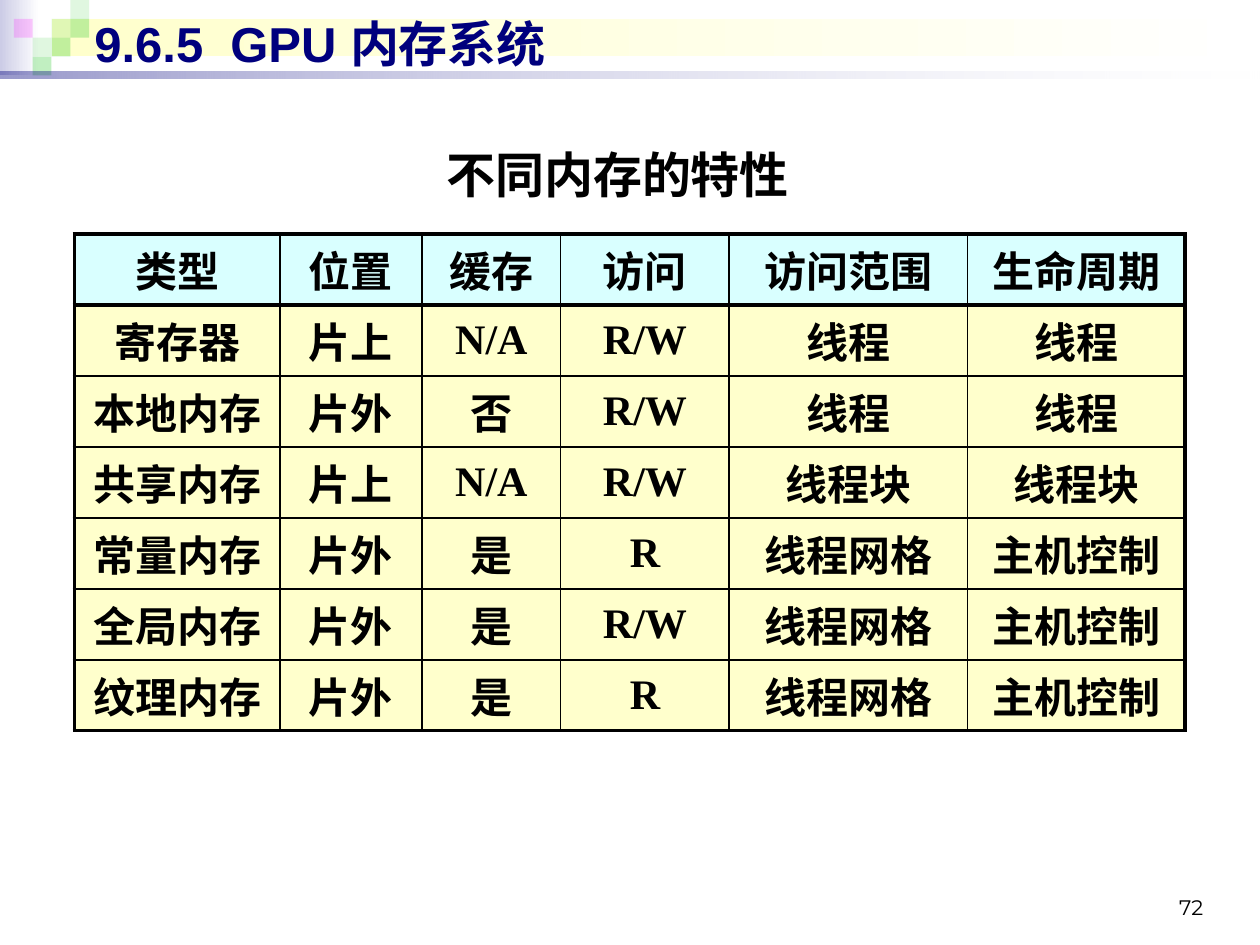
"""Build a slide with a table of GPU memory types under a decorated title bar."""
from lxml import etree
from pptx import Presentation, util as u
from pptx.dml.color import RGBColor
from pptx.enum import shapes, text
from pptx.oxml import ns

NAVY = RGBColor(0x00, 0x00, 0x7D)
LILAC = RGBColor(0xCC, 0xCC, 0xE6)
CREAM = RGBColor(0xFF, 0xFF, 0xCC)
AQUA = RGBColor(0xD9, 0xFF, 0xFF)
GREEN = RGBColor(0x33, 0xCC, 0x33)
PINK = RGBColor(0xFF, 0x00, 0xFF)
WHITE = RGBColor(0xFF, 0xFF, 0xFF)
BLACK = RGBColor(0x00, 0x00, 0x00)

TITLE = "9.6.5  GPU 内存系统"
CAPTION = "不同内存的特性"
PAGE = "72"
ROWS = [
    ("类型", "位置", "缓存", "访问", "访问范围", "生命周期"),
    ("寄存器", "片上", "N/A", "R/W", "线程", "线程"),
    ("本地内存", "片外", "否", "R/W", "线程", "线程"),
    ("共享内存", "片上", "N/A", "R/W", "线程块", "线程块"),
    ("常量内存", "片外", "是", "R", "线程网格", "主机控制"),
    ("全局内存", "片外", "是", "R/W", "线程网格", "主机控制"),
    ("纹理内存", "片外", "是", "R", "线程网格", "主机控制"),
]
WIDTHS = (4.14, 2.87, 2.79, 3.4, 4.8, 4.39)
HIGH = 1.43
THIN, THICK = 1, 2.25

BANDS = [
    ((0, 0, 0.79, 1.52), LILAC, (100, 100)),
    ((1.04, 0.38, 24.26, 0.76), CREAM, (100, 100)),
    ((0, 1.45, 25.4, 0.13), NAVY, (40, 10)),
]
TILE = 0.38
TILES = [
    (2, 1, GREEN, 15), (3, 0, GREEN, 15), (3, 1, GREEN, 30), (1, 2, GREEN, 15),
    (0, 1, PINK, 20), (2, 2, GREEN, 30), (1, 3, GREEN, 30),
]


def fade(node, alpha):
    color = next(node.iter(ns.qn("a:srgbClr")))
    etree.SubElement(color, ns.qn("a:alpha"), val=str(alpha * 1000))


def add_rect(slide, box):
    rect = slide.shapes.add_shape(shapes.MSO_SHAPE.RECTANGLE, *map(u.Cm, box))
    rect.shadow.inherit = False
    rect.line.fill.background()
    return rect


def add_band(slide, box, start, alphas):
    fill = add_rect(slide, box).fill
    fill.gradient()
    fill.gradient_angle = 0
    for stop, color, alpha in zip(fill.gradient_stops, (start, WHITE), alphas):
        stop.color.rgb = color
    for stop, place, alpha in zip(fill.gradient_stops, (0, 1), alphas):
        stop.position = place
        if alpha < 100:
            fade(stop.color._xFill if hasattr(stop.color, "_xFill") else stop._gs, alpha)


def add_tile(slide, col, row, color, alpha):
    tile = add_rect(slide, (0.28 + col * TILE, row * TILE, TILE, TILE))
    tile.fill.solid()
    tile.fill.fore_color.rgb = color
    fade(tile.element.spPr, alpha)


def style(frame, size, face, color, bold, align):
    para = frame.paragraphs[0]
    para.alignment = align
    font = para.runs[0].font
    font.size, font.name, font.bold = u.Pt(size), face, bold
    font.color.rgb = color


def add_text(slide, box, words, size, face, bold, align, anchor, wrap):
    frame = slide.shapes.add_textbox(*map(u.Cm, box)).text_frame
    frame.text = words
    frame.word_wrap = wrap
    frame.vertical_anchor = anchor
    style(frame, size, face, BLACK, bold, align)
    return frame


def add_edge(cell, side, width):
    line = etree.SubElement(cell._tc.get_or_add_tcPr(), ns.qn("a:ln" + side),
                            w=str(u.Pt(width)))
    fill = etree.SubElement(line, ns.qn("a:solidFill"))
    etree.SubElement(fill, ns.qn("a:srgbClr"), val=str(BLACK))


def add_grid(slide):
    rows, cols = len(ROWS), len(WIDTHS)
    grid = slide.shapes.add_table(rows, cols, u.Cm(1.5), u.Cm(4.72),
                                  u.Cm(sum(WIDTHS)), u.Cm(HIGH * rows)).table
    for col, width in zip(grid.columns, WIDTHS):
        col.width = u.Cm(width)
    for r, row in enumerate(ROWS):
        grid.rows[r].height = u.Cm(HIGH)
        for c, words in enumerate(row):
            cell = grid.cell(r, c)
            cell.text = words
            cell.vertical_anchor = text.MSO_ANCHOR.MIDDLE
            cell.margin_left = cell.margin_right = u.Cm(0.15)
            cell.margin_top = cell.margin_bottom = 0
            style(cell.text_frame, 24, "Times New Roman", BLACK, True,
                  text.PP_ALIGN.CENTER)
            heavy = {"L": c == 0, "R": c == cols - 1, "T": r < 2,
                     "B": r in (0, rows - 1)}
            for side, thick in heavy.items():
                add_edge(cell, side, THICK if thick else THIN)
            cell.fill.solid()
            cell.fill.fore_color.rgb = AQUA if r == 0 else CREAM


def set_title(slide):
    title = slide.shapes.title
    title.element.getparent().append(title.element)
    title.left, title.top, title.width, title.height = map(
        u.Cm, (1.65, 0.13, 22.86, 1.45))
    frame = title.text_frame
    frame.text = TITLE
    frame.auto_size = text.MSO_AUTO_SIZE.NONE
    frame.vertical_anchor = text.MSO_ANCHOR.MIDDLE
    style(frame, 28, "Arial", NAVY, True, text.PP_ALIGN.LEFT)


def main():
    deck = Presentation()
    deck.slide_width, deck.slide_height = u.Cm(25.4), u.Cm(19.05)
    slide = deck.slides.add_slide(deck.slide_layouts[5])
    for band in BANDS[:2]:
        add_band(slide, *band)
    for tile in TILES:
        add_tile(slide, *tile)
    add_band(slide, *BANDS[2])
    set_title(slide)
    add_grid(slide)
    add_text(slide, (18.21, 17.35, 6.3, 1.32), PAGE, 12, "Montserrat", False,
             text.PP_ALIGN.RIGHT, text.MSO_ANCHOR.BOTTOM, True)
    label = add_text(slide, (8.69, 2.79, 7.52, 1.45), CAPTION, 28,
                     "Times New Roman", True, text.PP_ALIGN.CENTER,
                     text.MSO_ANCHOR.TOP, False)
    label.auto_size = text.MSO_AUTO_SIZE.SHAPE_TO_FIT_TEXT
    deck.save("out.pptx")


if __name__ == "__main__":
    main()
